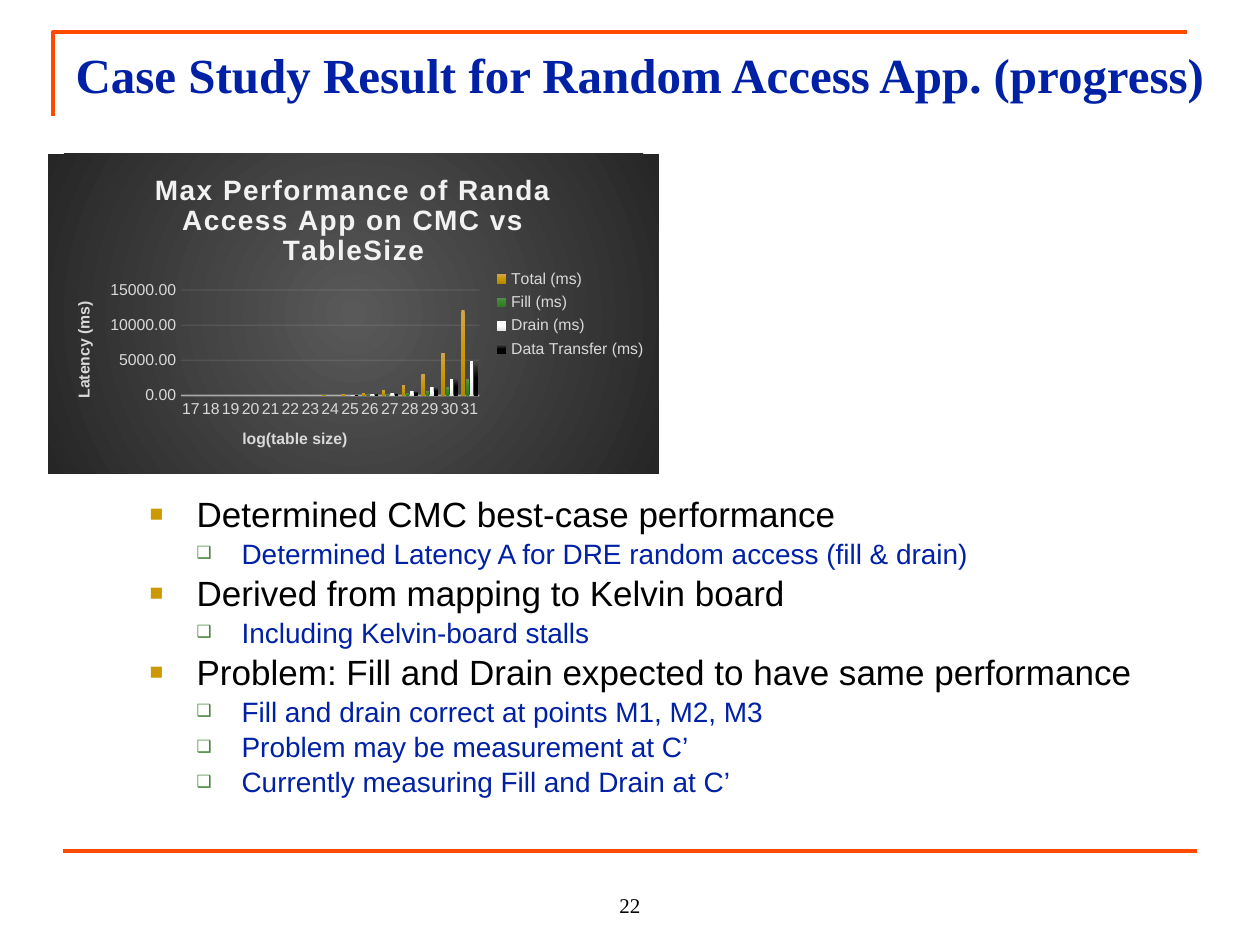
from lxml import etree
from pptx import Presentation
from pptx.chart.data import CategoryChartData
from pptx.dml.color import RGBColor
from pptx.enum.chart import XL_CHART_TYPE, XL_LEGEND_POSITION, XL_TICK_MARK
from pptx.enum.shapes import MSO_CONNECTOR
from pptx.enum.text import MSO_ANCHOR, MSO_AUTO_SIZE, PP_ALIGN
from pptx.oxml.ns import qn
from pptx.util import Emu, Pt

PX = 914400 / 126
COLUMNS = XL_CHART_TYPE.COLUMN_CLUSTERED
LEGEND_RIGHT = XL_LEGEND_POSITION.RIGHT
NO_TICKS = XL_TICK_MARK.NONE
STRAIGHT = MSO_CONNECTOR.STRAIGHT
TOP, BOTTOM = MSO_ANCHOR.TOP, MSO_ANCHOR.BOTTOM
LEFT, CENTER = PP_ALIGN.LEFT, PP_ALIGN.CENTER
SANS, SERIF = "Arial", "Times New Roman"

COLORS = {
    "rule": "FF4A00", "navy": "0021A5", "black": "000000",
    "gold": "CC9900", "green": "3B812F",
    "chart_title": "F2F2F2", "chart_text": "D9D9D9",
    "glow": "595959", "edge": "262626",
}

# Per outline level: text size, colour, bullet, bullet colour, bullet size %, left margin, hanging indent
LEVELS = [
    (20, "black", "■", "gold", 65, 47, 47),
    (16, "navy", "❑", "green", 60, 92, 45),
]

OUTLINE = [
    (0, "Determined CMC best-case performance"),
    (1, "Determined Latency A for DRE random access (fill & drain)"),
    (0, "Derived from mapping to Kelvin board"),
    (1, "Including Kelvin-board stalls"),
    (0, "Problem: Fill and Drain expected to have same performance"),
    (1, "Fill and drain correct at points M1, M2, M3"),
    (1, "Problem may be measurement at C’"),
    (1, "Currently measuring Fill and Drain at C’"),
]

TABLE_SIZES = [str(size) for size in range(17, 32)]
# Name, latencies at the largest table sizes (zero before), gradient from top to bottom
LATENCIES = [
    ("Total (ms)", [100, 200, 400, 800, 1500, 3000, 6100, 12100], ["D3A44B", "CC9900", "B58800"]),
    ("Fill (ms)", [100, 100, 300, 600, 1200, 2300], ["5B9055", "38852B", "2F7A22"]),
    ("Drain (ms)", [100, 200, 300, 600, 1200, 2400, 4900], ["FFFFFF", "FFFFFF", "E3E3E3"]),
    ("Data Transfer (ms)", [100, 200, 300, 600, 1200, 2500, 4900], ["4B4B4B", "000000", "000000"]),
]


def px(length):
    return Emu(round(length * PX))


def add(parent, tag, **attributes):
    child = etree.SubElement(parent, qn(tag))
    for key, value in attributes.items():
        child.set(key, str(value))
    return child


def add_gradient(properties, colors, radial=False):
    gradient = add(properties, "a:gradFill", rotWithShape=1)
    stops = add(gradient, "a:gsLst")
    for index, color in enumerate(colors):
        stop = add(stops, "a:gs", pos=100000 * index // (len(colors) - 1))
        add(stop, "a:srgbClr", val=color)
    if radial:
        center = add(gradient, "a:path", path="circle")
        add(center, "a:fillToRect", l=50000, t=50000, r=50000, b=50000)
    else:
        add(gradient, "a:lin", ang=5400000, scaled=0)


class SlideBuilder:
    def __init__(self, slide):
        self.slide = slide

    def font(self, font, size, color, face=SANS, bold=False):
        font.size, font.name, font.bold = Pt(size), face, bold
        font.color.rgb = RGBColor.from_string(COLORS[color])

    def line(self, line, color, width, opacity=100):
        line.width = Pt(width)
        line.color.rgb = RGBColor.from_string(COLORS[color])
        if opacity < 100:
            rgb = line._get_or_add_ln().find(".//" + qn("a:srgbClr"))
            add(rgb, "a:alpha", val=opacity * 1000)

    def place(self, shape, left, top, width, height):
        shape.left, shape.top = px(left), px(top)
        shape.width, shape.height = px(width), px(height)

    def frame(self, shape, anchor):
        frame = shape.text_frame
        frame.word_wrap, frame.auto_size = True, MSO_AUTO_SIZE.NONE
        frame.vertical_anchor = anchor
        return frame

    def corner(self, points):
        start, *rest = points
        outline = self.slide.shapes.build_freeform(*start, scale=PX)
        outline.add_line_segments(rest, close=False)
        shape = outline.convert_to_shape()
        shape.shadow.inherit = False
        shape.fill.background()
        self.line(shape.line, "rule", 2.25)

    def rule(self, left, right, y):
        rule = self.slide.shapes.add_connector(STRAIGHT, px(left), px(y), px(right), px(y))
        self.line(rule.line, "rule", 2.25)
        add(rule._element.spPr, "a:effectLst")

    def title(self, text, *box):
        title = self.slide.shapes.title
        self.place(title, *box)
        paragraph = self.frame(title, TOP).paragraphs[0]
        paragraph.text, paragraph.alignment = text, LEFT
        self.font(paragraph.font, 28, "navy", SERIF, bold=True)

    def outline(self, items, *box):
        body = self.slide.placeholders[1]
        self.place(body, *box)
        frame = self.frame(body, TOP)
        for index, (level, text) in enumerate(items):
            paragraph = frame.add_paragraph() if index else frame.paragraphs[0]
            size, color, bullet, bullet_color, percent, margin, hanging = LEVELS[level]
            paragraph.text, paragraph.level = text, level
            paragraph.space_before = Pt(1)
            self.font(paragraph.font, size, color)
            properties = paragraph._p.get_or_add_pPr()
            properties.set("marL", str(px(margin)))
            properties.set("indent", str(-px(hanging)))
            # Bullet settings come before the default run properties in the schema
            run_defaults = properties.find(qn("a:defRPr"))
            add(add(properties, "a:buClr"), "a:srgbClr", val=COLORS[bullet_color])
            add(properties, "a:buSzPct", val=percent * 1000)
            add(properties, "a:buFont", typeface=SANS)
            add(properties, "a:buChar", char=bullet)
            properties.append(run_defaults)

    def page_number(self, text, *box):
        number = self.slide.shapes.add_textbox(*map(px, box))
        paragraph = self.frame(number, BOTTOM).paragraphs[0]
        paragraph.text, paragraph.alignment = text, CENTER
        self.font(paragraph.font, 12, "black", SERIF)

    def axis(self, axis, title):
        axis.major_tick_mark = axis.minor_tick_mark = NO_TICKS
        self.font(axis.tick_labels.font, 9, "chart_text")
        paragraph = axis.axis_title.text_frame.paragraphs[0]
        paragraph.text = title
        self.font(paragraph.font, 9, "chart_text", bold=True)

    def column_chart(self, title, category_title, value_title, *box):
        data = CategoryChartData(number_format="0.00")
        data.categories = TABLE_SIZES
        for name, latencies, _ in LATENCIES:
            data.add_series(name, [0] * (len(TABLE_SIZES) - len(latencies)) + latencies)
        chart = self.slide.shapes.add_chart(COLUMNS, *map(px, box), data).chart
        self.font(chart.font, 10, "black")

        heading = chart.chart_title.text_frame.paragraphs[0]
        heading.text = title
        self.font(heading.font, 16, "chart_title", bold=True)
        heading.runs[0].font._element.set("spc", "100")
        chart.chart_title.include_in_layout = False

        self.axis(chart.category_axis, category_title)
        self.line(chart.category_axis.format.line, "chart_title", 1, opacity=54)
        self.axis(chart.value_axis, value_title)
        chart.value_axis.format.line.fill.background()
        self.line(chart.value_axis.major_gridlines.format.line, "chart_title", 0.75, opacity=10)

        chart.has_legend = True
        chart.legend.position, chart.legend.include_in_layout = LEGEND_RIGHT, False
        self.font(chart.legend.font, 9, "chart_text")

        plot = chart.plots[0]
        plot.gap_width, plot.overlap, plot.vary_by_categories = 100, -24, False
        for series, (_, _, shades) in zip(plot.series, LATENCIES):
            add_gradient(series._element.get_or_add_spPr(), shades)

        background = etree.Element(qn("c:spPr"))
        add_gradient(background, [COLORS["glow"], COLORS["edge"]], radial=True)
        add(add(background, "a:ln"), "a:noFill")
        chart._chartSpace.chart.addnext(background)


def main():
    deck = Presentation()
    deck.slide_width, deck.slide_height = px(1260), px(945)
    page = SlideBuilder(deck.slides.add_slide(deck.slide_layouts[1]))
    page.corner([(53, 116), (53, 32), (1187, 32)])
    page.rule(63, 1197, 851)
    page.outline(OUTLINE, 137, 486, 1032, 280)
    page.title("Case Study Result for Random Access App. (progress)", 63, 38, 1331, 130)
    page.page_number("22", 504, 861, 252, 63)
    page.column_chart("Max Performance of Randa Access App on CMC vs TableSize",
                      "log(table size)", "Latency (ms)", 48, 154, 611, 320)
    deck.save("out.pptx")


if __name__ == "__main__":
    main()
